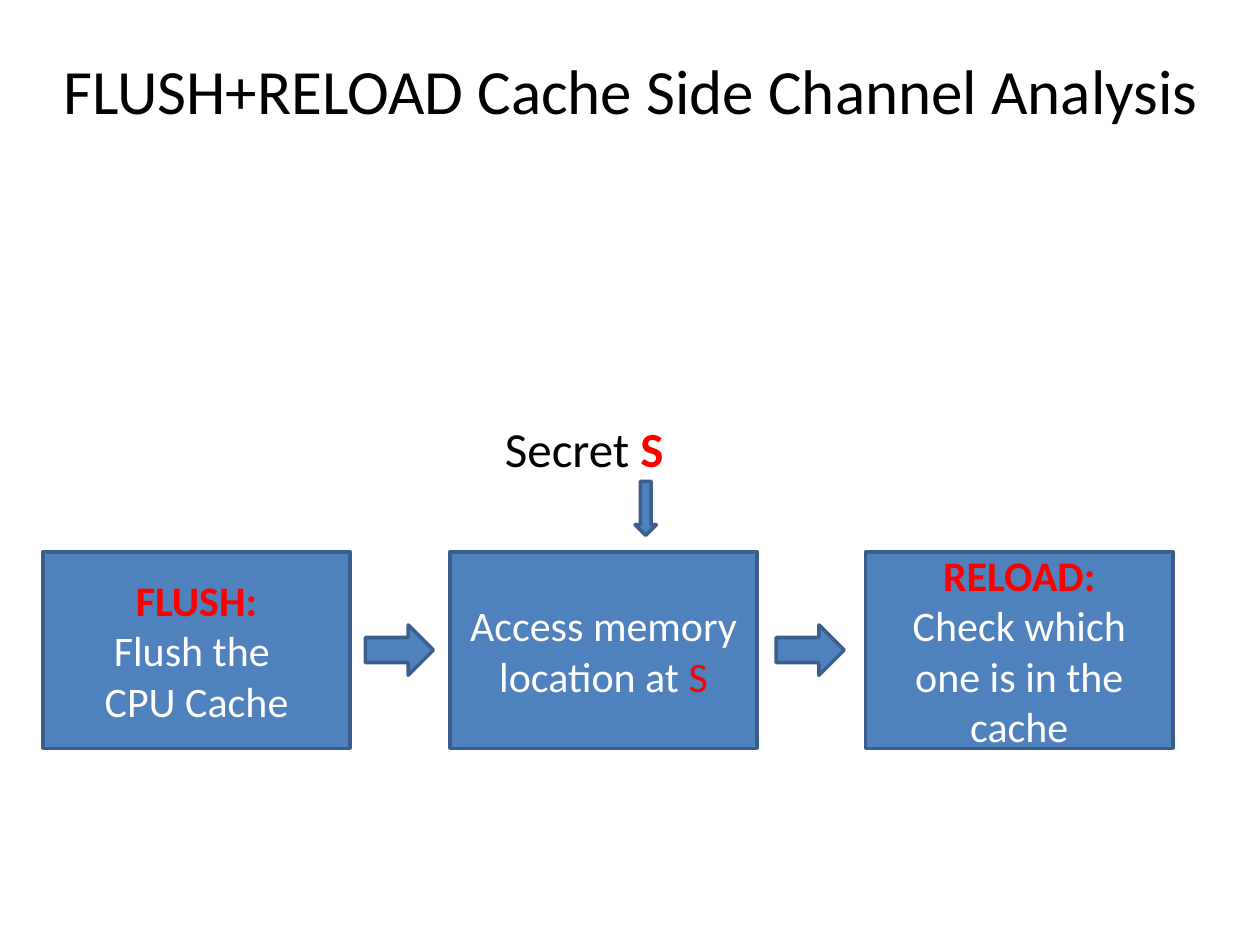
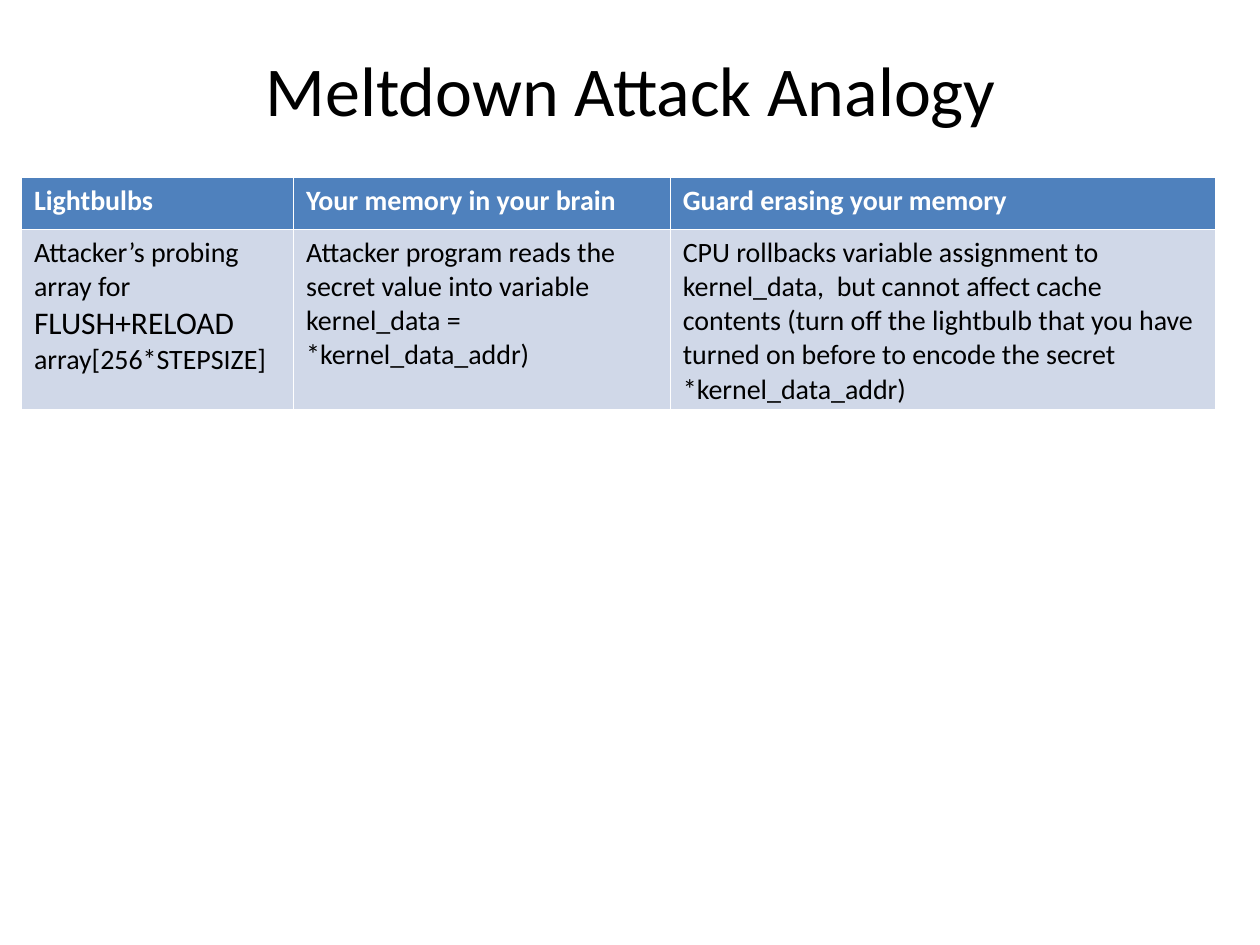
from pptx import Presentation
from pptx.dml.color import RGBColor
from pptx.enum.shapes import MSO_SHAPE
from pptx.enum.text import MSO_ANCHOR, PP_ALIGN
from pptx.util import Inches, Pt

RECT, RIGHT, DOWN = MSO_SHAPE.RECTANGLE, MSO_SHAPE.RIGHT_ARROW, MSO_SHAPE.DOWN_ARROW
MIDDLE = MSO_ANCHOR.MIDDLE
LEFT, CENTER = PP_ALIGN.LEFT, PP_ALIGN.CENTER
FONT = "Calibri"
HEX = {"black": "000000", "white": "FFFFFF", "red": "FF0000",
       "blue": "4F81BD", "edge": "3A5F8C", "pale": "D0D8E8"}
RGB = {name: RGBColor.from_string(code) for name, code in HEX.items()}


def write(frame, lines, size, align=LEFT):
    """Fill a frame; each line is a list of (text, colour, bold, own size) runs."""
    frame.word_wrap = True
    for i, runs in enumerate(lines):
        para = frame.paragraphs[0] if i == 0 else frame.add_paragraph()
        para.alignment = align
        para.font.name, para.font.size = FONT, Pt(size)
        para.font.color.rgb, para.font.bold = RGB[runs[0][1]], runs[0][2]
        for text, color, bold, *own in runs:
            run = para.add_run()
            run.text = text
            if (color, bold) != runs[0][1:3]:
                run.font.color.rgb, run.font.bold = RGB[color], bold
            if own:
                run.font.size = Pt(own[0])


def draw(slide, kind, x, y, w, h):
    shape = slide.shapes.add_shape(kind, Inches(x), Inches(y), Inches(w), Inches(h))
    shape.shadow.inherit = False
    shape.fill.solid()
    shape.fill.fore_color.rgb = RGB["blue"]
    shape.line.color.rgb = RGB["edge"]
    shape.line.width = Pt(2)
    return shape


prs = Presentation()
prs.slide_width, prs.slide_height = Inches(10), Inches(7.5)

# Slides and titles
slides = []
for title, size in (("FLUSH+RELOAD Cache Side Channel Analysis", 36),
                    ("Meltdown Attack Analogy", 40)):
    slide = prs.slides.add_slide(prs.slide_layouts[6])
    box = slide.shapes.add_textbox(Inches(0.17), Inches(0.08), Inches(9.67), Inches(1.25))
    box.text_frame.vertical_anchor = MIDDLE
    write(box.text_frame, [[(title, "black", False)]], size, CENTER)
    slides.append(slide)
flow, analogy = slides

# Flow: three steps
steps = [
    (0.34, [[("FLUSH:", "red", True)],
            [("Flush the ", "white", False)],
            [("CPU Cache", "white", False)]]),
    (3.57, [[("Access memory location at ", "white", False), ("S", "red", False)]]),
    (6.87, [[("RELOAD:", "red", True)],
            [("Check which one is in the cache", "white", False)]]),
]
for x, lines in steps:
    step = draw(flow, RECT, x, 4.38, 2.44, 1.56)
    step.text_frame.vertical_anchor = MIDDLE
    write(step.text_frame, lines, 24, CENTER)

# Flow: secret and arrows
secret = flow.shapes.add_textbox(Inches(3.91), Inches(3.27), Inches(1.8), Inches(0.57))
write(secret.text_frame, [[("Secret", "black", False), (" S", "red", True)]], 28)
draw(flow, DOWN, 5.04, 3.82, 0.17, 0.43)
for x in (2.9, 6.16):
    draw(flow, RIGHT, x, 4.96, 0.54, 0.4)

# Analogy table
heads = ["Lightbulbs", "Your memory in your brain", "Guard erasing your memory"]
bodies = [
    [("Attacker’s probing array for ", "black", False),
     ("FLUSH+RELOAD", "black", False, 18),
     (" array[256*STEPSIZE]", "black", False)],
    [("Attacker program reads the secret value into variable "
      "kernel_data = *kernel_data_addr)", "black", False)],
    [("CPU rollbacks variable assignment to kernel_data,  but cannot affect cache "
      "contents (turn off the lightbulb that you have turned on before to encode "
      "the secret *kernel_data_addr)", "black", False)],
]
table = analogy.shapes.add_table(2, 3, Inches(0.17), Inches(1.41),
                                 Inches(9.48), Inches(1.84)).table
for row, height in zip(table.rows, (0.41, 1.43)):
    row.height = Inches(height)
for col, (width, head, body) in enumerate(zip((2.16, 2.99, 4.33), heads, bodies)):
    table.columns[col].width = Inches(width)
    for row, (runs, fill) in enumerate((([(head, "white", True)], "blue"), (body, "pale"))):
        cell = table.cell(row, col)
        cell.fill.solid()
        cell.fill.fore_color.rgb = RGB[fill]
        write(cell.text_frame, [runs], 16)

prs.save("out.pptx")
